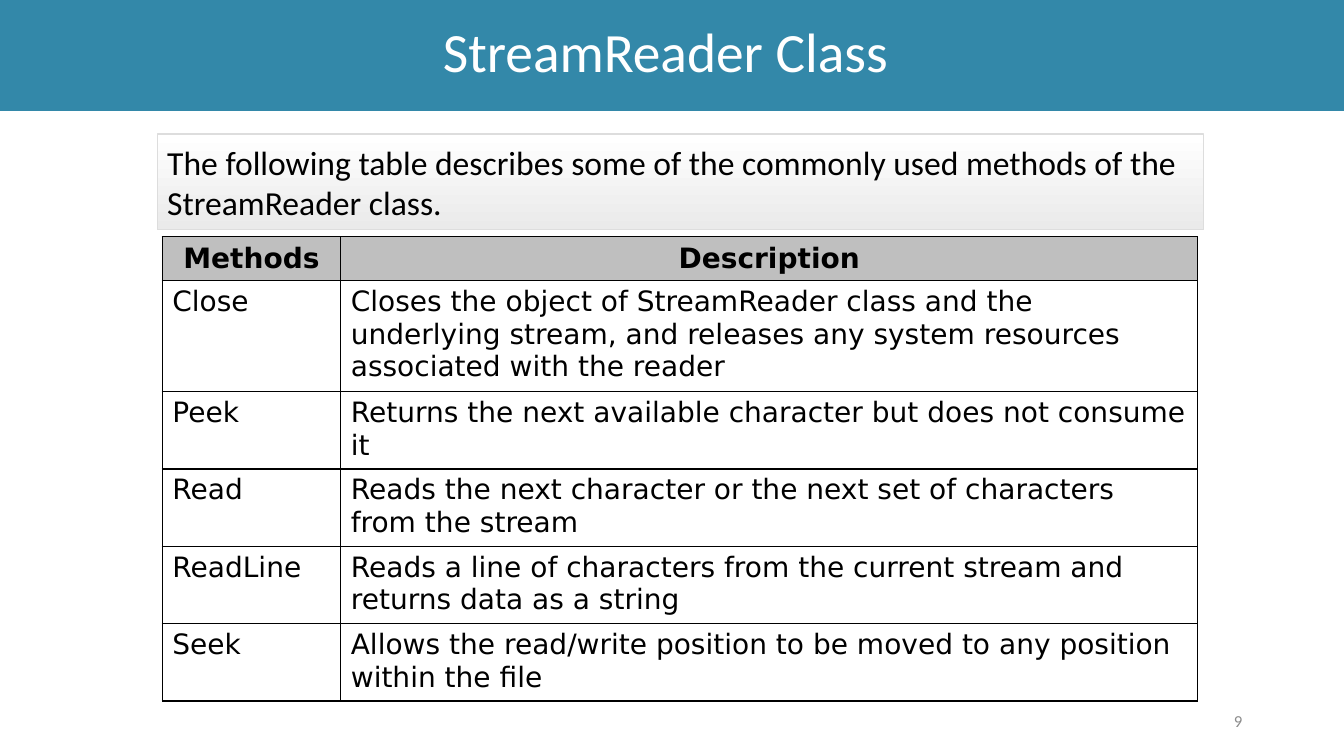
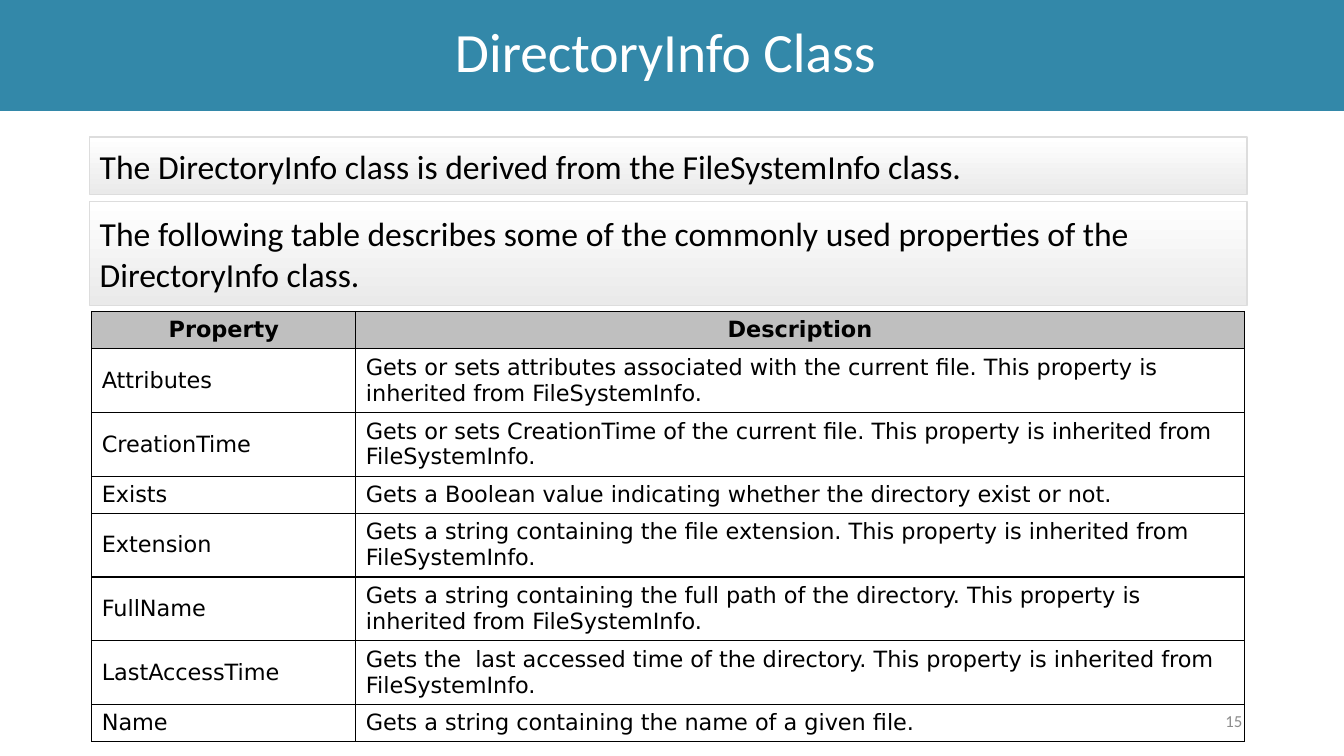
from lxml.etree import SubElement
from pptx import Presentation
from pptx.dml.color import RGBColor
from pptx.enum.shapes import MSO_SHAPE
from pptx.enum.text import MSO_ANCHOR, MSO_AUTO_SIZE, PP_ALIGN
from pptx.oxml.ns import qn
from pptx.util import Inches, Pt

COLORS = {
    "band": "3388A9", "white": "FFFFFF", "black": "000000", "number": "8C8C8C",
    "header": "BFBFBF", "panel_end": "EAEAEA", "panel_line": "DDDDDD",
}
SLIDE_W, SLIDE_H = 13.33, 7.5
BAND_H = 1.1
TEXT_FONT, TABLE_FONT = "Calibri", "DejaVu Sans"

STREAM_METHODS = [
    ("Methods", "Description"),
    ("Close", "Closes the object of StreamReader class and the underlying stream, "
              "and releases any system resources associated with the reader"),
    ("Peek", "Returns the next available character but does not consume it"),
    ("Read", "Reads the next character or the next set of characters from the stream"),
    ("ReadLine", "Reads a line of characters from the current stream and returns data as a string"),
    ("Seek", "Allows the read/write position to be moved to any position within the file"),
]
DIRECTORY_PROPERTIES = [
    ("Property", "Description"),
    ("Attributes", "Gets or sets attributes associated with the current file. "
                   "This property is inherited from FileSystemInfo."),
    ("CreationTime", "Gets or sets CreationTime of the current file. "
                     "This property is inherited from FileSystemInfo."),
    ("Exists", "Gets a Boolean value indicating whether the directory exist or not."),
    ("Extension", "Gets a string containing the file extension. "
                  "This property is inherited from FileSystemInfo."),
    ("FullName", "Gets a string containing the full path of the directory. "
                 "This property is inherited from FileSystemInfo."),
    ("LastAccessTime", "Gets the  last accessed time of the directory. "
                       "This property is inherited from FileSystemInfo."),
    ("Name", "Gets a string containing the name of a given file."),
]


def rgb(name):
    """Return the named colour."""
    return RGBColor.from_string(COLORS[name])


def write(tf, text, size, color, font=TEXT_FONT, align=PP_ALIGN.LEFT, bold=False):
    """Set one paragraph of text and format its run."""
    tf.text = text
    tf.word_wrap = True
    p = tf.paragraphs[0]
    p.alignment = align
    f = p.runs[0].font
    f.name, f.size, f.bold = font, Pt(size), bold
    f.color.rgb = rgb(color)
    return p


def add_base(prs, title, number):
    """Add a slide with its title band and slide number."""
    slide = prs.slides.add_slide(prs.slide_layouts[5])
    sp = slide.shapes.title
    sp.left, sp.top, sp.width, sp.height = 0, 0, prs.slide_width, Inches(BAND_H)
    sp.fill.solid()
    sp.fill.fore_color.rgb = rgb("band")
    tf = sp.text_frame
    tf.auto_size = MSO_AUTO_SIZE.NONE
    tf.vertical_anchor = MSO_ANCHOR.MIDDLE
    tf.margin_right, tf.margin_bottom = Inches(0.23), Inches(0.07)
    write(tf, title, 39.6, "white", align=PP_ALIGN.CENTER).line_spacing = 0.9

    box = slide.shapes.add_textbox(Inches(9.42), Inches(6.95), Inches(3), Inches(0.4))
    box.text_frame.vertical_anchor = MSO_ANCHOR.MIDDLE
    write(box.text_frame, str(number), 12, "number", align=PP_ALIGN.RIGHT)
    return slide


def add_panel(slide, box, text):
    """Add a shaded statement panel in the given box."""
    sp = slide.shapes.add_shape(MSO_SHAPE.RECTANGLE, *map(Inches, box))
    sp.shadow.inherit = False
    sp.fill.gradient()
    sp.fill.gradient_angle = 270
    for stop, color in zip(sp.fill.gradient_stops, ("white", "panel_end")):
        stop.color.rgb = rgb(color)
    sp.line.color.rgb = rgb("panel_line")
    sp.line.width = Pt(1)
    sp.text_frame.vertical_anchor = MSO_ANCHOR.MIDDLE
    write(sp.text_frame, text, 24, "black")


def add_borders(cell):
    """Draw a thin black line on each side of a cell."""
    tc_pr = cell._tc.get_or_add_tcPr()
    for i, side in enumerate(("a:lnL", "a:lnR", "a:lnT", "a:lnB")):
        ln = tc_pr.makeelement(qn(side), {"w": str(Pt(1))})
        fill = SubElement(ln, qn("a:solidFill"))
        SubElement(fill, qn("a:srgbClr"), val=COLORS["black"])
        tc_pr.insert(i, ln)


def add_reference_table(slide, left, top, widths, rows, size, body_anchor):
    """Add a two-column table whose rows grow with their text."""
    row_h = Inches(round(size * 1.17 / 72 + 0.1, 2))
    table = slide.shapes.add_table(
        len(rows), len(widths), Inches(left), Inches(top),
        Inches(sum(widths)), row_h * len(rows)).table
    table.horz_banding = False
    for column, width in zip(table.columns, widths):
        column.width = Inches(width)
    for r, row in enumerate(rows):
        header = r == 0
        for c, text in enumerate(row):
            cell = table.cell(r, c)
            cell.vertical_anchor = MSO_ANCHOR.MIDDLE if header else body_anchor
            if header:
                cell.fill.solid()
                cell.fill.fore_color.rgb = rgb("header")
            else:
                cell.fill.background()
            write(cell.text_frame, text, size, "black", TABLE_FONT,
                  PP_ALIGN.CENTER if header else PP_ALIGN.LEFT, header)
            add_borders(cell)


def add_stream_reader(prs):
    """Build the StreamReader slide."""
    slide = add_base(prs, "StreamReader Class", 9)
    add_reference_table(slide, 1.61, 2.35, (1.77, 8.5), STREAM_METHODS, 20, MSO_ANCHOR.TOP)
    add_panel(slide, (1.56, 1.33, 10.38, 0.95),
              "The following table describes some of the commonly used methods "
              "of the StreamReader class.")


def add_directory_info(prs):
    """Build the DirectoryInfo slide."""
    slide = add_base(prs, "DirectoryInfo Class", 15)
    add_reference_table(slide, 0.91, 3.09, (2.62, 8.81), DIRECTORY_PROPERTIES, 16,
                        MSO_ANCHOR.MIDDLE)
    add_panel(slide, (0.89, 1.36, 11.48, 0.57),
              "The DirectoryInfo class is derived from the FileSystemInfo class.")
    add_panel(slide, (0.89, 2, 11.48, 1.03),
              "The following table describes some of the commonly used properties "
              "of the DirectoryInfo class.")


def main():
    """Build and save the presentation."""
    prs = Presentation()
    prs.slide_width, prs.slide_height = Inches(SLIDE_W), Inches(SLIDE_H)
    add_stream_reader(prs)
    add_directory_info(prs)
    prs.save("out.pptx")


if __name__ == "__main__":
    main()
